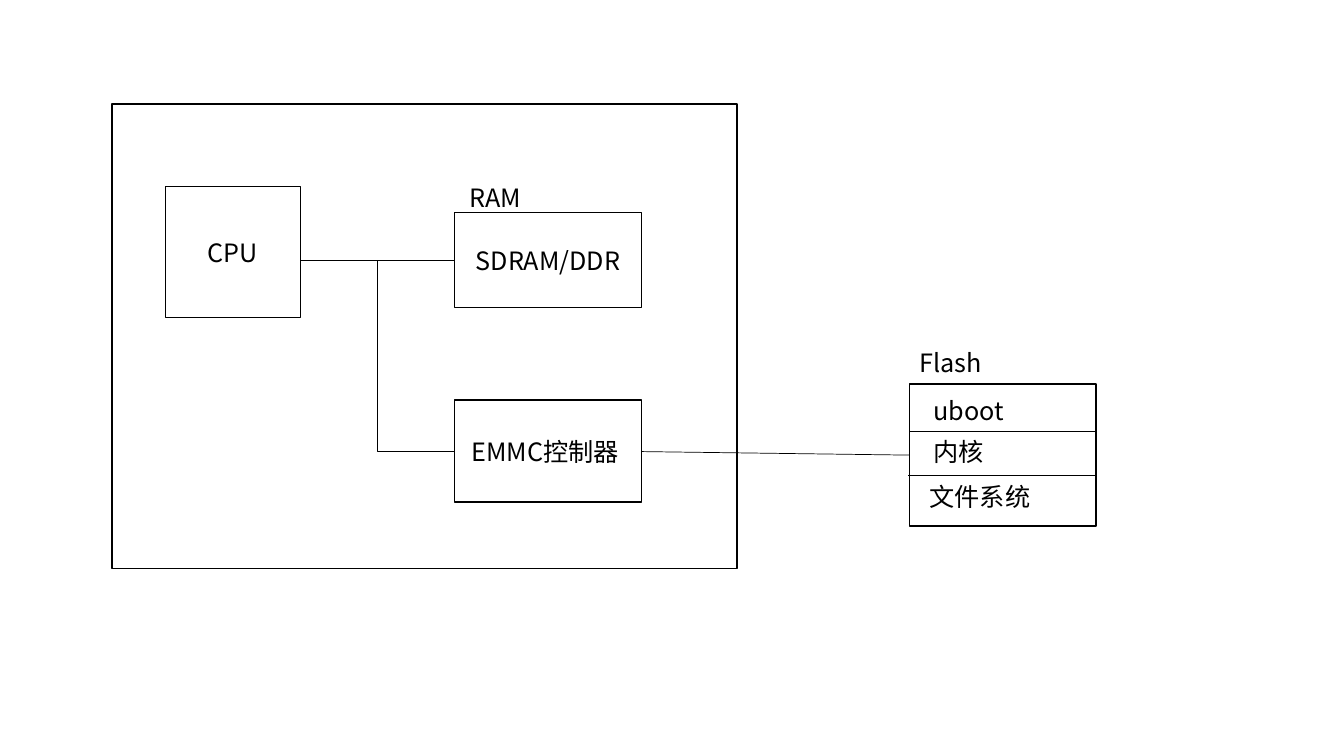
from dataclasses import dataclass

from lxml.etree import SubElement
from pptx import Presentation
from pptx.dml.color import RGBColor
from pptx.enum.shapes import MSO_CONNECTOR, MSO_SHAPE
from pptx.enum.text import MSO_ANCHOR, PP_ALIGN
from pptx.oxml.ns import qn
from pptx.util import Inches, Pt


@dataclass(frozen=True)
class Theme:
    ink: RGBColor = RGBColor(0, 0, 0)
    paper: RGBColor = RGBColor(255, 255, 255)
    font: str = "Noto Sans CJK SC"
    size: float = 18
    outline: float = 1
    wire: float = 0.5


THEME = Theme()


def write(tf, text, align=PP_ALIGN.LEFT, anchor=MSO_ANCHOR.TOP):
    tf.word_wrap = True
    tf.vertical_anchor = anchor
    p = tf.paragraphs[0]
    p.alignment = align
    r = p.add_run()
    r.text = text
    r.font.size = Pt(THEME.size)
    r.font.name = THEME.font
    r.font.color.rgb = THEME.ink
    SubElement(r.font._element, qn("a:ea"), typeface=THEME.font)


def add_label(s, text, x, y, w=1.76, h=0.4):
    write(s.shapes.add_textbox(Inches(x), Inches(y), Inches(w), Inches(h)).text_frame, text)


def add_box(s, x, y, w, h, text=None):
    sp = s.shapes.add_shape(MSO_SHAPE.RECTANGLE, Inches(x), Inches(y), Inches(w), Inches(h))
    sp.shadow.inherit = False
    sp.fill.solid()
    sp.fill.fore_color.rgb = THEME.paper
    sp.line.color.rgb = THEME.ink
    sp.line.width = Pt(THEME.outline)
    if text:
        write(sp.text_frame, text, PP_ALIGN.CENTER, MSO_ANCHOR.MIDDLE)


def add_line(s, x1, y1, x2, y2, width=THEME.wire, kind=MSO_CONNECTOR.STRAIGHT):
    c = s.shapes.add_connector(kind, Inches(x1), Inches(y1), Inches(x2), Inches(y2))
    c.line.color.rgb = THEME.ink
    c.line.width = Pt(width)
    SubElement(c._element.spPr, qn("a:effectLst"))
    return c


def add_corner(s, x1, y1, x2, y2):
    """Elbow that runs down first and then across."""
    c = add_line(s, x1, y1, x2, y2, kind=MSO_CONNECTOR.ELBOW)
    geom = c._element.spPr.find(qn("a:prstGeom"))
    SubElement(geom.find(qn("a:avLst")), qn("a:gd"), name="adj1", fmla="val 0")


def add_board(s, x, y, w, h):
    """Board with the CPU wired to its memory and to the EMMC controller."""
    cpu_x, cpu_w = x + 0.53, 1.34
    chip_x, chip_w = x + 3.4, 1.85
    bus_y, emmc_y = y + 1.55, y + 3.45
    cpu_right = cpu_x + cpu_w
    add_box(s, x, y, w, h)
    add_box(s, cpu_x, y + 0.82, cpu_w, 1.3, "CPU")
    add_box(s, chip_x, y + 1.08, chip_w, 0.94, "SDRAM/DDR")
    add_label(s, "RAM", chip_x + 0.05, y + 0.73)
    add_box(s, chip_x, y + 2.94, chip_w, 1.01)
    add_label(s, "EMMC控制器", chip_x + 0.07, y + 3.25)
    add_line(s, cpu_right, bus_y, chip_x, bus_y)
    add_corner(s, (cpu_right + chip_x) / 2, bus_y, chip_x, emmc_y)
    return chip_x + chip_w, emmc_y


def add_flash(s, x, y, w, h):
    """Flash memory divided into three partitions."""
    add_box(s, x, y, w, h)
    add_label(s, "Flash", x, y - 0.41)
    partitions = (("uboot", 0.14, 0.06), ("内核", 0.14, 0.47), ("文件系统", 0.1, 0.92))
    for text, dx, dy in partitions:
        add_label(s, text, x + dx, y + dy, 1.54, 0.42)
    for dx, dy in ((0, 0.47), (-0.01, 0.91)):
        add_line(s, x + dx, y + dy, x + dx + w, y + dy, THEME.outline)
    return x, y + h / 2


def main():
    prs = Presentation()
    prs.slide_width, prs.slide_height = Inches(13.33), Inches(7.5)
    s = prs.slides.add_slide(prs.slide_layouts[6])
    controller_port = add_board(s, 1.11, 1.03, 6.2, 4.61)
    flash_port = add_flash(s, 9.02, 3.81, 1.85, 1.41)
    add_line(s, *controller_port, *flash_port)
    prs.save("out.pptx")


if __name__ == "__main__":
    main()
